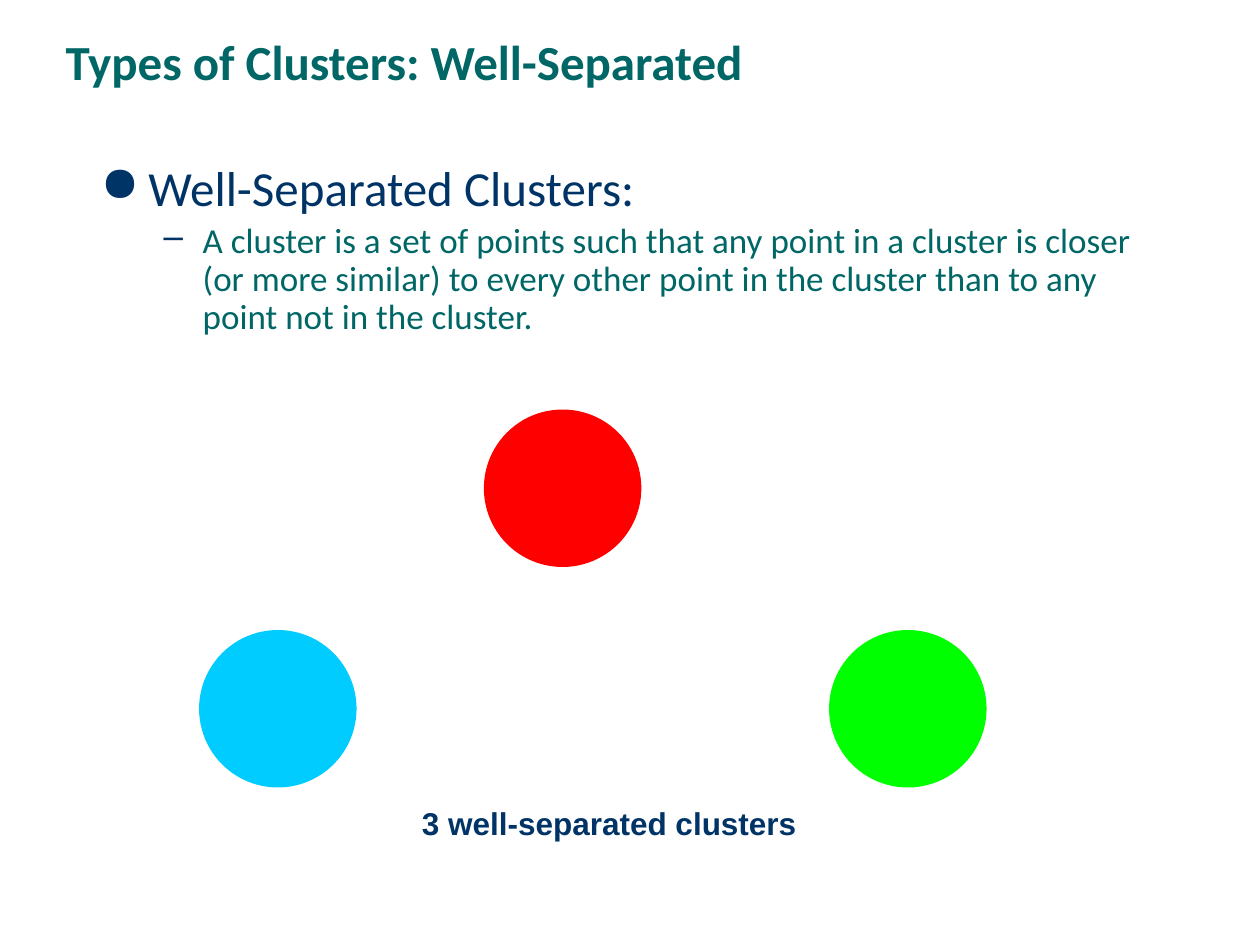
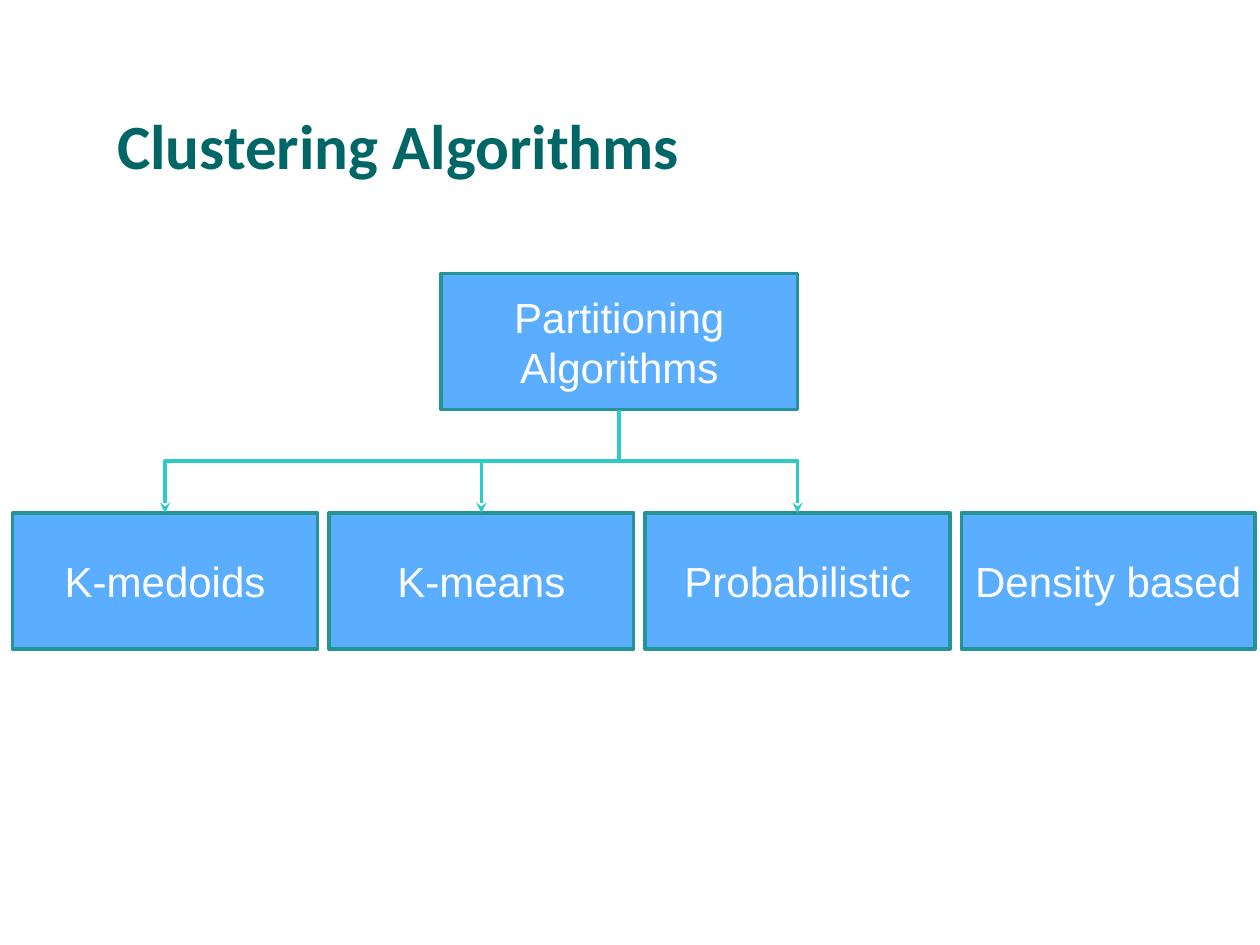
from dataclasses import dataclass

from lxml.etree import SubElement
from pptx import Presentation
from pptx.dml.color import RGBColor
from pptx.enum.shapes import MSO_CONNECTOR, MSO_SHAPE
from pptx.enum.text import MSO_ANCHOR, MSO_AUTO_SIZE, PP_ALIGN
from pptx.oxml.ns import qn
from pptx.util import Inches, Pt


@dataclass(frozen=True)
class Theme:
    teal: str = "006666"
    navy: str = "003366"
    white: str = "FFFFFF"
    box_fill: str = "5BADFF"
    box_line: str = "259494"
    arrow: str = "2DCACA"
    cyan: str = "00CCFF"
    green: str = "00FF00"
    red: str = "FF0000"
    heading_font: str = "Calibri"
    label_font: str = "Arial"
    title_size: int = 28
    large_title_size: int = 36
    point_size: int = 28
    detail_size: int = 20
    box_size: int = 24
    caption_size: int = 18
    line_width: int = 2
    line_spacing: float = 0.9


class Deck:
    def __init__(self, theme):
        self.theme = theme
        self.prs = Presentation()
        self.prs.slide_width = Inches(10)
        self.prs.slide_height = Inches(7.5)
        self.s = None

    def format(self, p, font, size, color, bold=False):
        for r in p.runs:
            r.font.name = font
            r.font.size = Pt(size)
            r.font.bold = bold
            r.font.color.rgb = RGBColor.from_string(color)

    def slide(self, title, left, top, width, height, size):
        t = self.theme
        self.s = self.prs.slides.add_slide(self.prs.slide_layouts[5])
        sp = self.s.shapes.title
        sp.left, sp.top = Inches(left), Inches(top)
        sp.width, sp.height = Inches(width), Inches(height)
        tf = sp.text_frame
        tf.text = title
        tf.auto_size = MSO_AUTO_SIZE.NONE
        tf.vertical_anchor = MSO_ANCHOR.BOTTOM
        p = tf.paragraphs[0]
        p.alignment = PP_ALIGN.LEFT
        p.line_spacing = t.line_spacing
        self.format(p, t.heading_font, size, t.teal, True)

    def text_box(self, left, top, width, height):
        sp = self.s.shapes.add_textbox(Inches(left), Inches(top), Inches(width), Inches(height))
        sp.text_frame.word_wrap = True
        return sp.text_frame

    def caption(self, text, left, top, width, height):
        t = self.theme
        tf = self.text_box(left, top, width, height)
        tf.text = text
        self.format(tf.paragraphs[0], t.label_font, t.caption_size, t.navy, True)

    def bullet(self, p, char, margin, hanging):
        pPr = p._p.get_or_add_pPr()
        pPr.set("marL", str(Inches(margin)))
        pPr.set("indent", str(-Inches(hanging)))
        color = SubElement(pPr, qn("a:buClr"))
        SubElement(color, qn("a:srgbClr"), val=self.theme.navy)
        SubElement(pPr, qn("a:buChar"), char=char)

    def point(self, text, detail, left, top, width, height):
        t = self.theme
        tf = self.text_box(left, top, width, height)
        p = tf.paragraphs[0]
        p.text = text
        p.line_spacing = t.line_spacing
        self.bullet(p, "●", 0.38, 0.38)
        self.format(p, t.heading_font, t.point_size, t.navy)
        p = tf.add_paragraph()
        p.text = detail
        p.level = 1
        p.line_spacing = t.line_spacing
        p.space_before = Pt(4)
        self.bullet(p, "–", 0.81, 0.31)
        self.format(p, t.heading_font, t.detail_size, t.teal)

    def shape(self, kind, left, top, width, height, fill):
        sp = self.s.shapes.add_shape(kind, Inches(left), Inches(top), Inches(width), Inches(height))
        sp.shadow.inherit = False
        sp.fill.solid()
        sp.fill.fore_color.rgb = RGBColor.from_string(fill)
        return sp

    def circle(self, left, top, diameter, fill):
        sp = self.shape(MSO_SHAPE.OVAL, left, top, diameter, diameter, fill)
        sp.line.fill.background()

    def box(self, text, left, top, width, height):
        t = self.theme
        sp = self.shape(MSO_SHAPE.RECTANGLE, left, top, width, height, t.box_fill)
        sp.line.color.rgb = RGBColor.from_string(t.box_line)
        sp.line.width = Pt(t.line_width)
        tf = sp.text_frame
        tf.text = text
        tf.word_wrap = True
        tf.vertical_anchor = MSO_ANCHOR.MIDDLE
        p = tf.paragraphs[0]
        p.alignment = PP_ALIGN.CENTER
        self.format(p, t.label_font, t.box_size, t.white)
        return sp

    def branch(self, parent, child):
        x1, y1 = parent.left + parent.width // 2, parent.top + parent.height
        x2, y2 = child.left + child.width // 2, child.top
        c = self.s.shapes.add_connector(MSO_CONNECTOR.ELBOW, x1, y1, x2, y2)
        c.begin_connect(parent, 2)
        c.end_connect(child, 0)
        c.width, c.height = y2 - y1, abs(x2 - x1)
        c.left = (x1 + x2 - c.width) // 2
        c.top = (y1 + y2 - c.height) // 2
        spPr = c._element.spPr
        xfrm = spPr.find(qn("a:xfrm"))
        rightward = x2 > x1
        xfrm.set("rot", str((270 if rightward else 90) * 60000))
        xfrm.set("flipH", "1" if rightward else "0")
        c.line.color.rgb = RGBColor.from_string(self.theme.arrow)
        c.line.width = Pt(self.theme.line_width)
        SubElement(spPr.find(qn("a:ln")), qn("a:tailEnd"), type="stealth")
        SubElement(spPr, qn("a:effectLst"))


def well_separated(deck):
    t = deck.theme
    deck.slide("Types of Clusters: Well-Separated", 0.42, 0.17, 9.06, 0.6, t.title_size)
    deck.point(
        "Well-Separated Clusters:",
        "A cluster is a set of points such that any point in a cluster is closer "
        "(or more similar) to every other point in the cluster than to any point "
        "not in the cluster.",
        0.7, 1.25, 8.75, 5.59,
    )
    for left, top, color in ((1.58, 5, t.cyan), (6.58, 5, t.green), (3.84, 3.25, t.red)):
        deck.circle(left, top, 1.25, color)
    deck.caption("3 well-separated clusters", 3.25, 6.33, 3.5, 0.4)


def clustering_algorithms(deck):
    deck.slide("Clustering Algorithms", 0.83, 0.83, 8.67, 0.67, deck.theme.large_title_size)
    height = 1.08
    parent = deck.box("Partitioning Algorithms", 3.5, 2.17, 2.83, height)
    first_left, pitch, top, width = 0.1, 2.51, 4.07, 2.42
    for i, name in enumerate(("K-medoids", "K-means", "Probabilistic")):
        child = deck.box(name, first_left + i * pitch, top, width, height)
        deck.branch(parent, child)
    deck.box("Density based", first_left + 3 * pitch, top, 2.33, height)


def main():
    deck = Deck(Theme())
    well_separated(deck)
    clustering_algorithms(deck)
    deck.prs.save("out.pptx")


if __name__ == "__main__":
    main()
